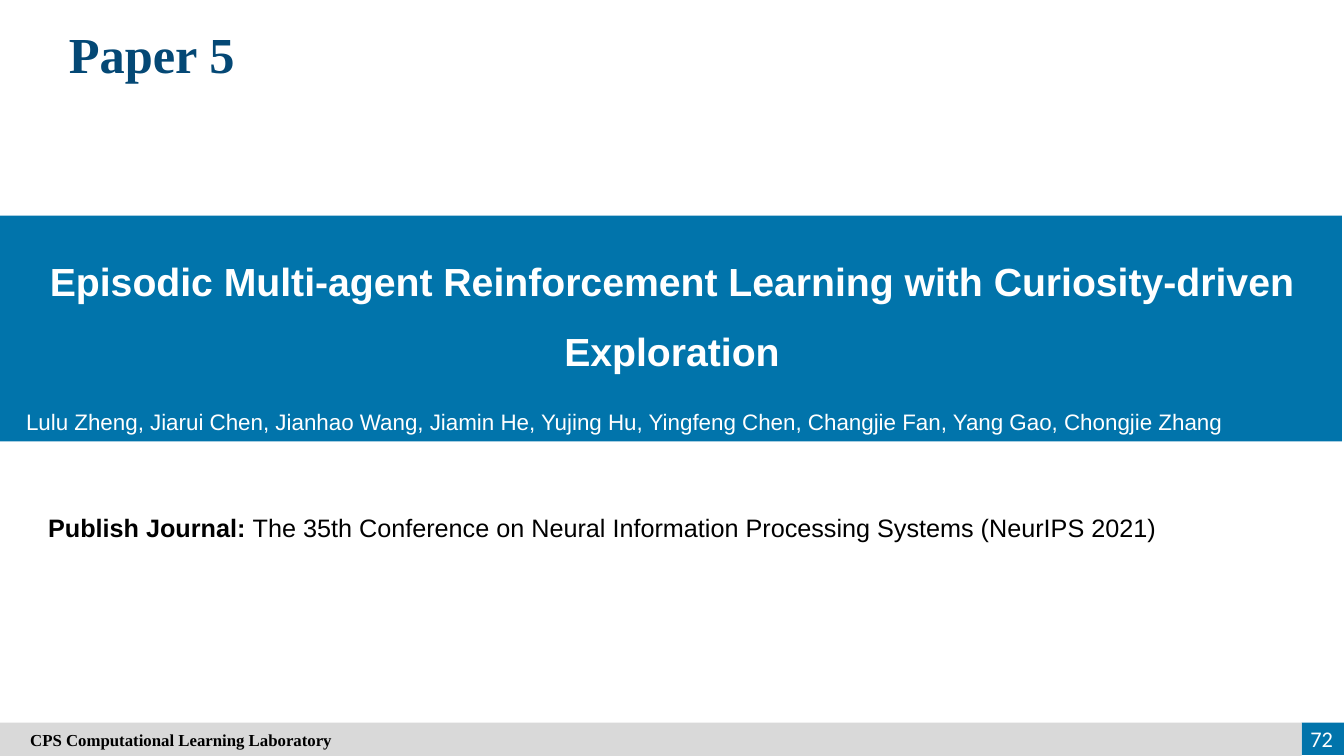
import pptx
import pptx.util
import pptx.dml.color
import pptx.enum.shapes
import pptx.enum.text

Inches = pptx.util.Inches
RGBColor = pptx.dml.color.RGBColor
ALIGN = pptx.enum.text.PP_ALIGN
ANCHOR = pptx.enum.text.MSO_ANCHOR

BLUE = RGBColor(0x01, 0x74, 0xAB)
NAVY = RGBColor(0x04, 0x48, 0x75)
GREY = RGBColor(0xD9, 0xD9, 0xD9)
WHITE = RGBColor(0xFF, 0xFF, 0xFF)
BLACK = RGBColor(0x00, 0x00, 0x00)
SERIF = "Times New Roman"
SANS = "Arial"


class PaperSlide:
    """Draws the bars and texts of a paper title slide."""

    def __init__(self, deck):
        self.page = deck.slides.add_slide(deck.slide_layouts[6])

    def bar(self, left, top, width, height, color):
        box = self.page.shapes.add_shape(
            pptx.enum.shapes.MSO_SHAPE.RECTANGLE,
            Inches(left), Inches(top), Inches(width), Inches(height))
        box.shadow.inherit = False
        box.fill.solid()
        box.fill.fore_color.rgb = color
        box.line.fill.background()
        return box

    def text(self, left, top, width, height, spans, size, **style):
        box = self.page.shapes.add_textbox(
            Inches(left), Inches(top), Inches(width), Inches(height))
        self.fill_text(box, spans, size, **style)

    def fill_text(self, box, spans, size, font=SANS, color=WHITE,
                  align=ALIGN.LEFT, anchor=ANCHOR.TOP, spacing=1.0):
        frame = box.text_frame
        frame.word_wrap = True
        frame.vertical_anchor = anchor
        para = frame.paragraphs[0]
        para.alignment = align
        para.line_spacing = spacing
        for words, bold in spans:
            span = para.add_run()
            span.text = words
            span.font.name = font
            span.font.size = pptx.util.Pt(size)
            span.font.bold = bold
            span.font.color.rgb = color


def main():
    deck = pptx.Presentation()
    deck.slide_width = Inches(13.33)
    deck.slide_height = Inches(7.5)
    slide = PaperSlide(deck)

    slide.bar(-0.08, 2.14, 13.39, 2.24, BLUE)
    slide.text(-0.66, 2.26, 14.65, 1.51,
               [("Episodic Multi-agent Reinforcement Learning with "
                 "Curiosity-driven Exploration", True)], 28,
               align=ALIGN.CENTER, anchor=ANCHOR.MIDDLE, spacing=1.5)
    slide.text(0.16, 4, 13.7, 0.37,
               [("Lulu Zheng, Jiarui Chen, Jianhao Wang, Jiamin He, Yujing Hu, "
                 "Yingfeng Chen, Changjie Fan, Yang Gao, Chongjie Zhang", False)], 16)

    slide.text(0.38, 0.18, 2.25, 0.71, [("Paper 5", True)], 36,
               font=SERIF, color=NAVY, align=ALIGN.CENTER)
    slide.text(0.38, 5.03, 11.87, 0.4,
               [("Publish Journal: ", True),
                ("The 35th Conference on Neural Information Processing Systems "
                 "(NeurIPS 2021)", False)], 18, color=BLACK)

    slide.bar(12.91, 7.17, 0.42, 0.32, BLUE)
    footer = slide.bar(0, 7.17, 12.91, 0.33, GREY)
    footer.text_frame.margin_left = Inches(0.3)
    slide.fill_text(footer, [("CPS Computational Learning Laboratory", True)], 12,
                    font=SERIF, color=BLACK, anchor=ANCHOR.MIDDLE)
    slide.text(12.69, 7.13, 0.63, 0.4, [("72", False)], 16,
               font="Calibri", align=ALIGN.RIGHT, anchor=ANCHOR.MIDDLE)

    deck.save("out.pptx")


if __name__ == "__main__":
    main()
